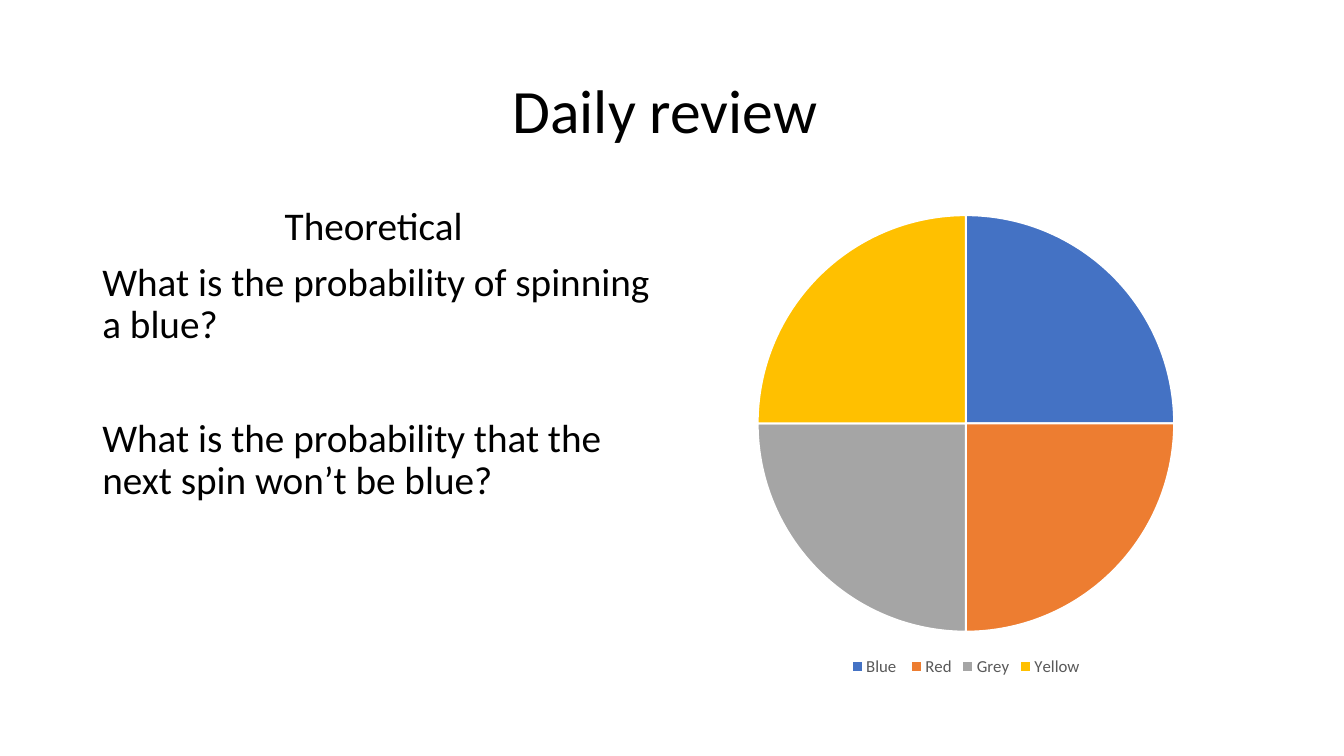
"""Build the daily review slide with a four-colour spinner."""
import pptx
import pptx.chart.data
import pptx.dml.color
import pptx.enum.chart
import pptx.enum.text
import pptx.util

Cm = pptx.util.Cm
Pt = pptx.util.Pt
RGB = pptx.dml.color.RGBColor
ALIGN = pptx.enum.text.PP_ALIGN
ANCHOR = pptx.enum.text.MSO_ANCHOR

BLACK = RGB(0x00, 0x00, 0x00)
WHITE = RGB(0xFF, 0xFF, 0xFF)
SLATE = RGB(0x59, 0x59, 0x59)
BLUE = RGB(0x44, 0x72, 0xC4)
RED = RGB(0xED, 0x7D, 0x31)
GREY = RGB(0xA5, 0xA5, 0xA5)
GOLD = RGB(0xFF, 0xC0, 0x00)
FONT = "Calibri"

TITLE = "Daily review "
LINES = [
    ("Theoretical ", ALIGN.CENTER, 0),
    ("What is the probability of spinning a blue?", ALIGN.LEFT, 10),
    ("What is the probability that the next spin won’t be blue?", ALIGN.LEFT, 51),
]
PARTS = [("Blue ", 25, BLUE), ("Red", 25, RED), ("Grey", 25, GREY), ("Yellow", 25, GOLD)]

WIDE, HIGH = Cm(33.87), Cm(19.05)
EDGE, GAP = Cm(2.33), Cm(0.42)
TOP, TALL = Cm(5.07), Cm(12.09)
HALF = (WIDE - 2 * EDGE - GAP) // 2


def style(font, size, color):
    """Set the face, size and colour of a font."""
    font.name = FONT
    font.size = Pt(size)
    font.color.rgb = color


def write(para, text, size=28, align=ALIGN.LEFT, space=0):
    """Fill a paragraph with formatted text."""
    para.alignment = align
    para.line_spacing = 0.9
    para.space_before = Pt(space)
    run = para.add_run()
    run.text = text
    style(run.font, size, BLACK)


def head(slide):
    """Place the title."""
    title = slide.shapes.title
    title.left, title.top = EDGE, Cm(1.01)
    title.width, title.height = WIDE - 2 * EDGE, Cm(3.68)
    title.text_frame.vertical_anchor = ANCHOR.MIDDLE
    write(title.text_frame.paragraphs[0], TITLE, size=44, align=ALIGN.CENTER)


def body(slide):
    """Place the questions on the left."""
    frame = slide.shapes.add_textbox(EDGE, TOP, HALF, TALL).text_frame
    frame.word_wrap = True
    for num, (text, align, space) in enumerate(LINES):
        para = frame.add_paragraph() if num else frame.paragraphs[0]
        write(para, text, align=align, space=space)


def wheel(slide):
    """Place the spinner chart on the right."""
    data = pptx.chart.data.CategoryChartData()
    data.categories = [name for name, _, _ in PARTS]
    data.add_series("Series 1", [val for _, val, _ in PARTS])
    chart = slide.shapes.add_chart(
        pptx.enum.chart.XL_CHART_TYPE.PIE, EDGE + HALF + GAP, TOP, HALF, TALL, data
    ).chart
    style(chart.font, 10, BLACK)
    chart.has_title = False
    chart.has_legend = True
    chart.legend.position = pptx.enum.chart.XL_LEGEND_POSITION.BOTTOM
    chart.legend.include_in_layout = False
    style(chart.legend.font, 12, SLATE)
    plot = chart.plots[0]
    plot.vary_by_categories = True
    for num, (_, _, color) in enumerate(PARTS):
        form = plot.series[0].points[num].format
        form.fill.solid()
        form.fill.fore_color.rgb = color
        form.line.color.rgb = WHITE
        form.line.width = Pt(1.5)


def main():
    """Build and save the slide."""
    deck = pptx.Presentation()
    deck.slide_width, deck.slide_height = WIDE, HIGH
    slide = deck.slides.add_slide(deck.slide_layouts[5])
    head(slide)
    body(slide)
    wheel(slide)
    deck.save("out.pptx")


if __name__ == "__main__":
    main()
